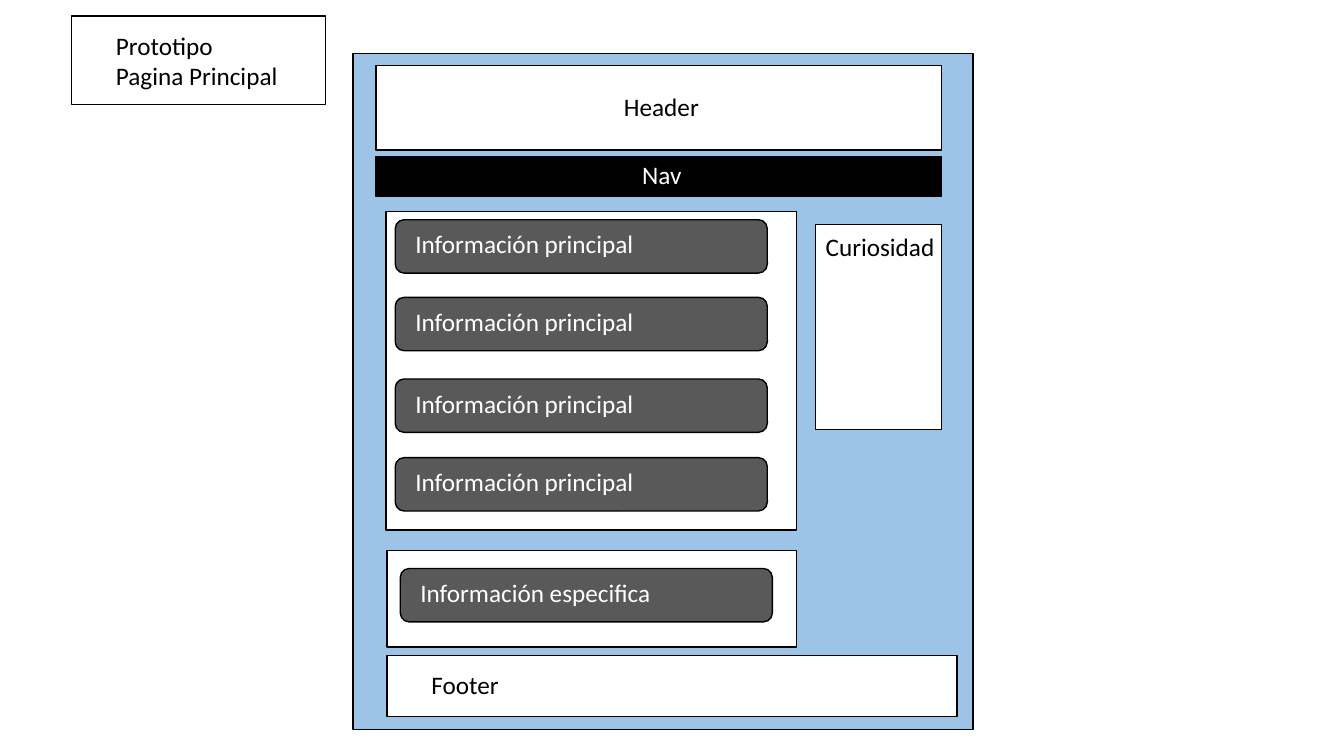
from pptx import Presentation
from pptx.dml.color import RGBColor
from pptx.enum.shapes import MSO_SHAPE as Kind
from pptx.enum.text import MSO_ANCHOR as Anchor, MSO_AUTO_SIZE as Fit, PP_ALIGN as Align
from pptx.util import Pt

PX = 9144
BLACK, WHITE, BLUE, GRAY = "000000", "FFFFFF", "9DC3E6", "595959"


def box(home, kind, at, fill, edge=True):
    shape = home.add_shape(kind, *[n * PX for n in at])
    shape.shadow.inherit = False
    shape.fill.solid()
    shape.fill.fore_color.rgb = RGBColor.from_string(fill)
    if edge:
        shape.line.color.rgb = RGBColor.from_string(BLACK)
        shape.line.width = Pt(1)
    else:
        shape.line.fill.background()
    return shape


def write(shape, words, color):
    frame = shape.text_frame
    frame.word_wrap = True
    frame.auto_size = Fit.SHAPE_TO_FIT_TEXT
    frame.vertical_anchor = Anchor.TOP
    para = frame.paragraphs[0]
    para.alignment = Align.LEFT
    run = para.add_run()
    run.text = words
    run.font.name = "Calibri"
    run.font.size = Pt(18)
    run.font.color.rgb = RGBColor.from_string(color)


deck = Presentation()
deck.slide_width, deck.slide_height = 1333 * PX, 750 * PX
slide = deck.slides.add_slide(deck.slide_layouts[5])
shapes = slide.shapes

panels = [
    ((71, 16, 252, 88), WHITE),
    ((350, 53, 615, 671), BLUE),
    ((373, 65, 561, 84), WHITE),
    ((373, 155, 561, 40), BLACK),
    ((809, 223, 125, 203), WHITE),
    ((383, 210, 407, 316), WHITE),
    ((384, 546, 406, 96), WHITE),
    ((384, 650, 565, 61), WHITE),
]
for at, fill in panels:
    box(shapes, Kind.RECTANGLE, at, fill)

cards = [(392, top, "Información principal") for top in (218, 295, 376, 454)]
cards.append((397, 564, "Información especifica"))
for left, top, words in cards:
    group = shapes.add_group_shape()
    box(group.shapes, Kind.ROUNDED_RECTANGLE, (left, top, 369, 53), GRAY)
    label = box(group.shapes, Kind.RECTANGLE, (left + 10, top + 4, 348, 40), GRAY, False)
    write(label, words, WHITE)

labels = [
    ("Header", (609, 86, 95, 40), BLACK),
    ("Nav", (627, 153, 61, 40), WHITE),
    ("Footer", (418, 659, 348, 40), BLACK),
    ("Curiosidad", (809, 225, 348, 40), BLACK),
]
for words, at, color in labels:
    write(shapes.add_textbox(*[n * PX for n in at]), words, color)

title = shapes.title
title.left, title.top, title.width, title.height = [n * PX for n in (105, 25, 186, 71)]
write(title, "Prototipo Pagina Principal", BLACK)
shapes.element.append(title.element)

deck.save("out.pptx")
